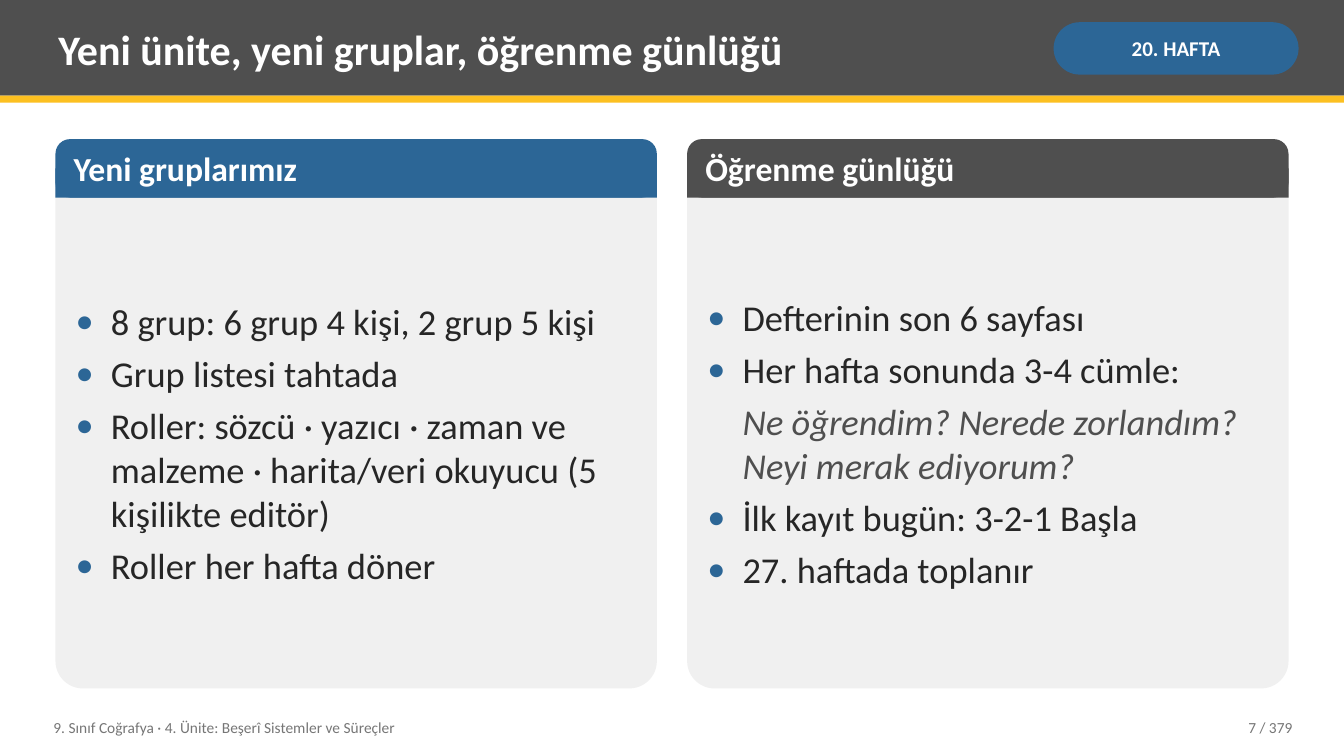
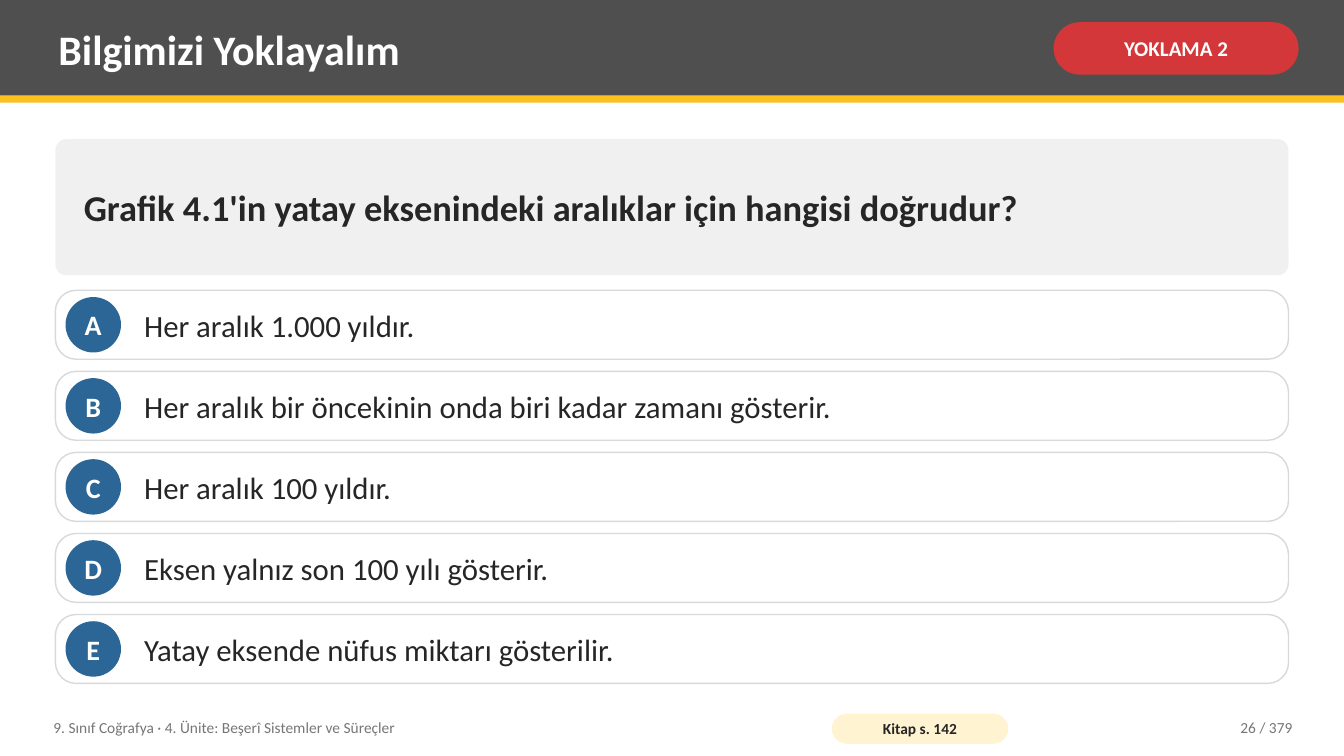
import pptx
import pptx.dml.color
import pptx.enum.shapes
import pptx.enum.text
import pptx.oxml
import pptx.oxml.ns
import pptx.util
from pptx.util import Inches

FONT = "Calibri"
GREY, BLUE, RED, YELLOW = "4F4F4F", "2C6696", "D3373A", "FCC021"
INK, MUTED, WHITE, PANEL = "262626", "767676", "FFFFFF", "F0F0F0"
BORDER, CREAM = "D9D9D9", "FFF3D1"

WIDTH, HEIGHT = 13.33, 7.5
MARGIN, CONTENT_TOP, CONTENT_WIDTH = 0.55, 1.38, 12.23
TEXT_INSETS = (0.08, 0.04)
UNIT = "9. Sınıf Coğrafya · 4. Ünite: Beşerî Sistemler ve Süreçler"
PAGE_COUNT = 379

SHAPE = pptx.enum.shapes.MSO_SHAPE
ALIGN = pptx.enum.text.PP_ALIGN
COMPARISON, TITLE_ONLY = 4, 5


def rgb(value):
    return pptx.dml.color.RGBColor.from_string(value)


def set_font(font, size, color, bold=False, italic=False):
    font.name, font.size = FONT, pptx.util.Pt(size)
    font.bold, font.italic = bold, italic
    font.color.rgb = rgb(color)


def set_frame(frame, insets=TEXT_INSETS, wrap=True):
    frame.word_wrap = wrap
    frame.auto_size = pptx.enum.text.MSO_AUTO_SIZE.NONE
    frame.vertical_anchor = pptx.enum.text.MSO_ANCHOR.MIDDLE
    frame.margin_left = frame.margin_right = Inches(insets[0])
    frame.margin_top = frame.margin_bottom = Inches(insets[1])


def write(shape, text, size, color, bold=False, align=ALIGN.LEFT,
          insets=TEXT_INSETS, wrap=True):
    """Put one line of formatted text in any shape."""
    frame = shape.text_frame
    set_frame(frame, insets, wrap)
    frame.text = text
    paragraph = frame.paragraphs[0]
    paragraph.alignment = align
    paragraph.space_before = pptx.util.Pt(0)
    set_font(paragraph.runs[0].font, size, color, bold)


def add_shape(slide, kind, box, fill, radius=None, border=None):
    shape = slide.shapes.add_shape(kind, *map(Inches, box))
    shape.shadow.inherit = False
    shape.fill.solid()
    shape.fill.fore_color.rgb = rgb(fill)
    if border:
        shape.line.color.rgb = rgb(border)
        shape.line.width = pptx.util.Pt(1)
    else:
        shape.line.fill.background()
    if radius is not None:
        shape.adjustments[0] = radius
    return shape


def add_label(slide, box, *args, **kwargs):
    write(slide.shapes.add_textbox(*map(Inches, box)), *args, **kwargs)


def place(slide, placeholder, box):
    """Move a placeholder to box, in front of what is drawn so far."""
    placeholder.left, placeholder.top, placeholder.width, placeholder.height = map(Inches, box)
    slide.shapes._spTree.append(placeholder._element)
    return placeholder


def set_bullet(paragraph, indent, shown):
    properties = paragraph._p.get_or_add_pPr()
    properties.set("marL", str(Inches(indent)))
    properties.set("indent", str(-Inches(indent) if shown else 0))
    namespace = pptx.oxml.ns.nsdecls("a")
    if shown:
        parts = [f'<a:buClr {namespace}><a:srgbClr val="{BLUE}"/></a:buClr>',
                 f'<a:buFont {namespace} typeface="{FONT}"/>',
                 f'<a:buChar {namespace} char="•"/>']
    else:
        parts = [f"<a:buNone {namespace}/>"]
    for part in parts:
        properties.append(pptx.oxml.parse_xml(part))


def write_list(placeholder, items):
    """Fill a list; items are (text, is_bullet), plain ones being italic notes."""
    frame = placeholder.text_frame
    set_frame(frame)
    frame.text = "\n".join(text for text, _ in items)
    for paragraph, (_, is_bullet) in zip(frame.paragraphs, items):
        set_bullet(paragraph, 0.35, is_bullet)
        paragraph.space_before = pptx.util.Pt(0)
        paragraph.space_after = pptx.util.Pt(6)
        set_font(paragraph.runs[0].font, 26, INK if is_bullet else GREY, italic=not is_bullet)
    frame.paragraphs[-1].space_after = pptx.util.Pt(0)


def add_header(slide, title, tag, tag_color):
    add_shape(slide, SHAPE.RECTANGLE, (0, 0, WIDTH, 0.95), GREY)
    add_shape(slide, SHAPE.RECTANGLE, (0, 0.95, WIDTH, 0.07), YELLOW)
    write(place(slide, slide.shapes.title, (0.5, 0.07, 9.75, 0.82)), title, 30, WHITE, True)
    pill = add_shape(slide, SHAPE.ROUNDED_RECTANGLE, (10.45, 0.22, 2.43, 0.52), tag_color, 0.5)
    write(pill, tag, 15, WHITE, True, ALIGN.CENTER, (0.05, 0.02))


def add_footer(slide, page, book_page=None):
    top, height = 7.04, 0.36
    add_label(slide, (0.45, top, 7.6, height), UNIT, 11, MUTED)
    if book_page:
        pill = add_shape(slide, SHAPE.ROUNDED_RECTANGLE, (8.25, 7.08, 1.75, 0.3), CREAM, 0.5)
        write(pill, book_page, 11, INK, True, ALIGN.CENTER, (0.04, 0))
    add_label(slide, (11.3, top, 1.6, height), f"{page} / {PAGE_COUNT}", 11, MUTED,
              align=ALIGN.RIGHT)


def add_card(slide, box, color, heading, items, heading_holder, list_holder):
    left, top, width, height = box
    head = 0.58
    add_shape(slide, SHAPE.ROUNDED_RECTANGLE, box, PANEL, 0.05)
    add_shape(slide, SHAPE.ROUNDED_RECTANGLE, (left, top, width, head), color, 0.25)
    add_shape(slide, SHAPE.RECTANGLE, (left, top + head / 2, width, head / 2), color)
    place(slide, heading_holder, (left + 0.1, top, width - 0.2, head))
    write(heading_holder, heading, 24, WHITE, True)
    place(slide, list_holder,
          (left + 0.12, top + head + 0.08, width - 0.24, height - head - 0.16))
    write_list(list_holder, items)


def add_option(slide, box, letter, answer):
    left, top, width, height = box
    badge = 0.55
    add_shape(slide, SHAPE.ROUNDED_RECTANGLE, box, WHITE, 0.3, BORDER)
    circle = add_shape(slide, SHAPE.OVAL,
                       (left + 0.1, top + (height - badge) / 2, badge, badge), BLUE)
    write(circle, letter, 20, WHITE, True, ALIGN.CENTER, (0, 0), wrap=False)
    add_label(slide, (left + 0.8, top, width - 1, height), answer, 22, INK)


def build_cards_slide(deck, title, tag, page, cards):
    slide = deck.slides.add_slide(deck.slide_layouts[COMPARISON])
    add_header(slide, title, tag, BLUE)
    gap = 0.3
    width = (CONTENT_WIDTH - gap) / 2
    holders = list(slide.placeholders)[1:]
    for column, (color, heading, items) in enumerate(cards):
        box = (MARGIN + column * (width + gap), CONTENT_TOP, width, 5.45)
        add_card(slide, box, color, heading, items, *holders[2 * column:2 * column + 2])
    add_footer(slide, page)


def build_quiz_slide(deck, title, tag, page, book_page, question, answers):
    slide = deck.slides.add_slide(deck.slide_layouts[TITLE_ONLY])
    add_header(slide, title, tag, RED)
    panel = add_shape(slide, SHAPE.ROUNDED_RECTANGLE,
                      (MARGIN, CONTENT_TOP, CONTENT_WIDTH, 1.35), PANEL, 0.08)
    write(panel, question, 26, INK, True, insets=(0.25, 0.08))
    top, bottom, gap = 2.88, 6.78, 0.12
    pitch = (bottom - top + gap) / len(answers)
    for row, (letter, answer) in enumerate(zip("ABCDE", answers)):
        add_option(slide, (MARGIN, top + row * pitch, CONTENT_WIDTH, pitch - gap),
                   letter, answer)
    add_footer(slide, page, book_page)


def main():
    deck = pptx.Presentation()
    deck.slide_width, deck.slide_height = Inches(WIDTH), Inches(HEIGHT)
    build_cards_slide(
        deck, "Yeni ünite, yeni gruplar, öğrenme günlüğü", "20. HAFTA", 7,
        [(BLUE, "Yeni gruplarımız", [
            ("8 grup: 6 grup 4 kişi, 2 grup 5 kişi", True),
            ("Grup listesi tahtada", True),
            ("Roller: sözcü · yazıcı · zaman ve malzeme · harita/veri okuyucu "
             "(5 kişilikte editör)", True),
            ("Roller her hafta döner", True)]),
         (GREY, "Öğrenme günlüğü", [
             ("Defterinin son 6 sayfası", True),
             ("Her hafta sonunda 3-4 cümle:", True),
             ("Ne öğrendim? Nerede zorlandım? Neyi merak ediyorum?", False),
             ("İlk kayıt bugün: 3-2-1 Başla", True),
             ("27. haftada toplanır", True)])])
    build_quiz_slide(
        deck, "Bilgimizi Yoklayalım", "YOKLAMA 2", 26, "Kitap s. 142",
        "Grafik 4.1'in yatay eksenindeki aralıklar için hangisi doğrudur?",
        ["Her aralık 1.000 yıldır.",
         "Her aralık bir öncekinin onda biri kadar zamanı gösterir.",
         "Her aralık 100 yıldır.",
         "Eksen yalnız son 100 yılı gösterir.",
         "Yatay eksende nüfus miktarı gösterilir."])
    deck.save("out.pptx")


if __name__ == "__main__":
    main()
